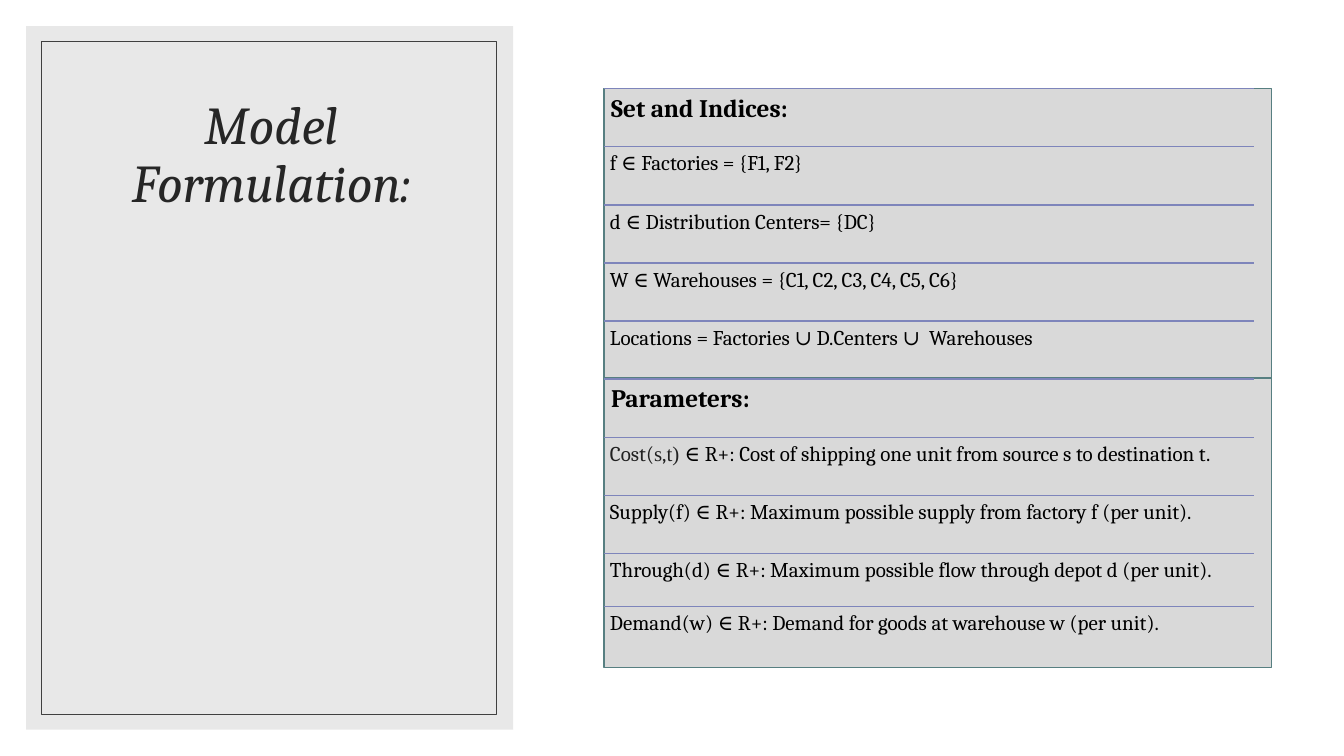
from dataclasses import dataclass

from lxml.etree import SubElement
from pptx import Presentation
from pptx.dml.color import RGBColor
from pptx.enum.shapes import MSO_CONNECTOR as Connector, MSO_SHAPE as Preset
from pptx.enum.text import MSO_ANCHOR as Anchor, MSO_AUTO_SIZE as AutoSize, PP_ALIGN as Align
from pptx.oxml.ns import qn
from pptx.shapes.autoshape import Shape
from pptx.slide import Slide
from pptx.text.text import TextFrame
from pptx.util import Inches, Pt

WHITE = RGBColor(0xFF, 0xFF, 0xFF)
BLACK = RGBColor(0x00, 0x00, 0x00)
GREY = RGBColor(0xD9, 0xD9, 0xD9)
TEAL = RGBColor(0x57, 0x7F, 0x81)
LILAC = RGBColor(0x7E, 0x85, 0xBB)
FRAME = RGBColor(0x40, 0x40, 0x40)
TITLE_INK = RGBColor(0x26, 0x26, 0x26)
COST_INK = RGBColor(0x21, 0x21, 0x21)

SERIF = "Cambria"
TIMES = "Times New Roman"

LIST_LEFT, LIST_TOP, LIST_WIDTH = 5.99, 0.88, 6.45
BLOCK_WIDTH, BLOCK_HEIGHT = 6.62, 2.87
ROW_HEIGHT = (5.49 - LIST_TOP) / 8


@dataclass(frozen=True)
class Span:
    text: str
    font: str = SERIF
    color: RGBColor = BLACK


@dataclass(frozen=True)
class Row:
    spans: tuple[Span, ...]
    heading: bool = False
    height: float = ROW_HEIGHT


ROWS = (
    Row((Span("Set and Indices:"),), heading=True),
    Row((Span("f ∈ Factories = {F1, F2}"),)),
    Row((Span("d ∈ Distribution Centers= {DC}"),)),
    Row((Span("W ∈ Warehouses = {C1, C2, C3, C4, C5, C6}"),)),
    Row((Span("Locations = Factories ∪ D.Centers ∪  Warehouses"),)),
    Row((Span("Parameters:"),), heading=True),
    Row((
        Span("Cost(", color=COST_INK),
        Span("s", TIMES, COST_INK),
        Span(",", color=COST_INK),
        Span("t) ", TIMES, COST_INK),
        Span("∈ R+: Cost of shipping one unit from source s to destination t."),
    )),
    Row((Span("Supply(f) ∈ R+: Maximum possible supply from factory f (per unit)."),)),
    Row((Span("Through(d) ∈ R+: Maximum possible flow through depot d (per unit)."),), height=0.53),
    Row((Span("Demand(w) ∈ R+: Demand for goods at warehouse w (per unit)."),)),
)


def add_rectangle(page: Slide, left: float, top: float, width: float, height: float,
                  fill: RGBColor | None = None, line: RGBColor | None = None,
                  weight: float = 1) -> Shape:
    box = page.shapes.add_shape(Preset.RECTANGLE, Inches(left), Inches(top),
                                Inches(width), Inches(height))
    box.shadow.inherit = False
    if fill is None:
        box.fill.background()
    else:
        box.fill.solid()
        box.fill.fore_color.rgb = fill
    if line is None:
        box.line.fill.background()
    else:
        box.line.color.rgb = line
        box.line.width = Pt(weight)
    return box


def set_opacity(box: Shape, percent: int) -> None:
    color = box.element.spPr.find(qn("a:solidFill"))[0]
    SubElement(color, qn("a:alpha"), val=str(percent * 1000))


def write_spans(frame: TextFrame, spans: tuple[Span, ...], size: float,
                bold: bool = False, italic: bool = False) -> None:
    para = frame.paragraphs[0]
    para.line_spacing = 0.9
    for span in spans:
        run = para.add_run()
        run.text = span.text
        run.font.name = span.font
        run.font.size = Pt(size)
        run.font.bold = bold
        run.font.italic = italic
        run.font.color.rgb = span.color


def add_title(page: Slide, panel: Shape) -> None:
    title = page.shapes.title
    title.left, title.top = Inches(0.63), Inches(0.61)
    title.width, title.height = Inches(4.12), Inches(1.88)
    frame = title.text_frame
    frame.word_wrap = True
    frame.auto_size = AutoSize.NONE
    frame.vertical_anchor = Anchor.MIDDLE
    write_spans(frame, (Span("Model Formulation:", color=TITLE_INK),), 38, italic=True)
    frame.paragraphs[0].alignment = Align.CENTER
    panel.element.addnext(title.element)


def add_row(page: Slide, row: Row, top: float) -> None:
    rule = page.shapes.add_connector(Connector.STRAIGHT, Inches(LIST_LEFT), Inches(top),
                                     Inches(LIST_LEFT + LIST_WIDTH), Inches(top))
    rule.line.color.rgb = LILAC
    rule.line.width = Pt(1)
    SubElement(rule.element.spPr, qn("a:effectLst"))

    box = page.shapes.add_textbox(Inches(LIST_LEFT), Inches(top),
                                  Inches(LIST_WIDTH), Inches(row.height))
    frame = box.text_frame
    frame.word_wrap = True
    inset = Inches(0.07 if row.heading else 0.06)
    frame.margin_left = frame.margin_right = inset
    frame.margin_top = frame.margin_bottom = inset
    write_spans(frame, row.spans, 18 if row.heading else 15, bold=row.heading)


def main() -> None:
    deck = Presentation()
    deck.slide_width, deck.slide_height = Inches(13.33), Inches(7.5)
    page = deck.slides.add_slide(deck.slide_layouts.get_by_name("Title Only"))
    page.background.fill.solid()
    page.background.fill.fore_color.rgb = WHITE

    panel = add_rectangle(page, 0.26, 0.26, 4.83, 6.98, fill=GREY)
    set_opacity(panel, 60)
    add_title(page, panel)
    add_rectangle(page, 0.41, 0.41, 4.51, 6.68, line=FRAME, weight=0.5)

    for block in range(2):
        add_rectangle(page, LIST_LEFT, LIST_TOP + block * BLOCK_HEIGHT,
                      BLOCK_WIDTH, BLOCK_HEIGHT, fill=GREY, line=TEAL)

    top = LIST_TOP
    for row in ROWS:
        add_row(page, row, top)
        top += row.height

    deck.save("out.pptx")


if __name__ == "__main__":
    main()
